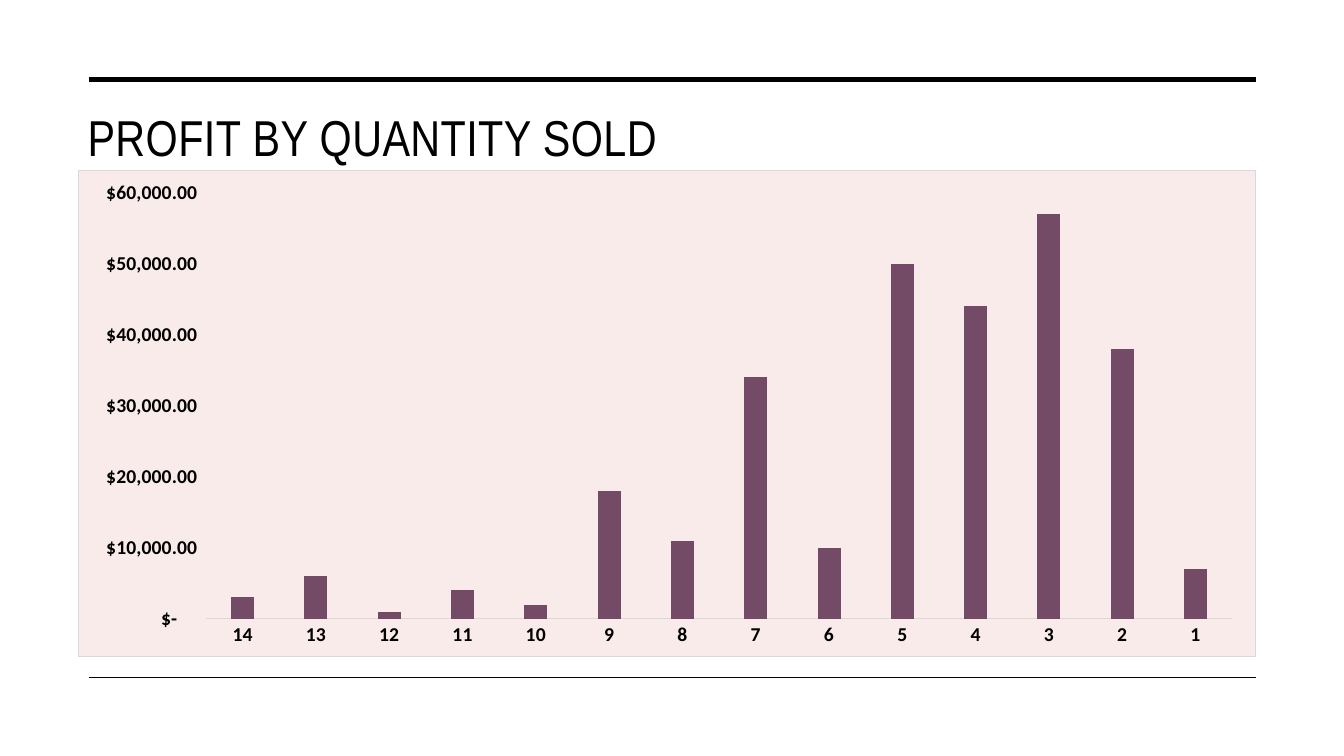
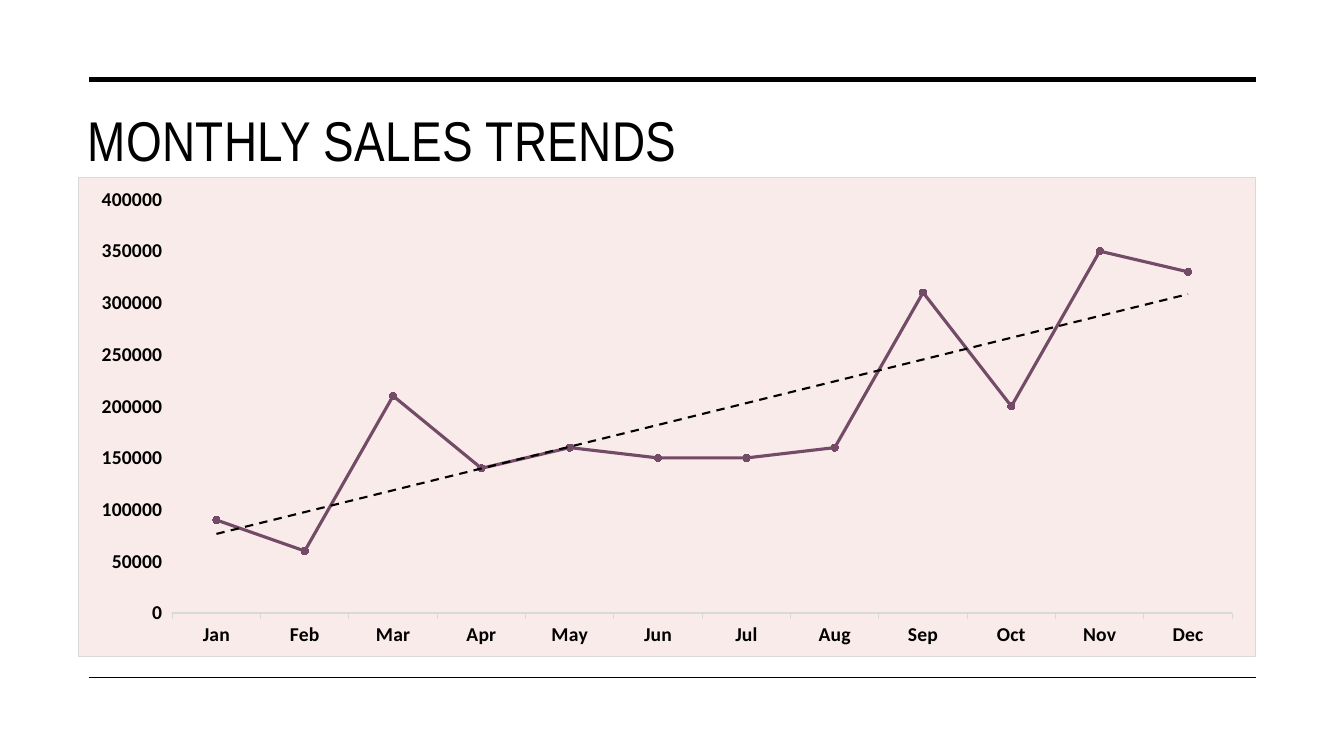
from dataclasses import dataclass

from lxml.etree import SubElement
from pptx import Presentation
from pptx.chart.data import CategoryChartData
from pptx.dml.color import RGBColor
from pptx.enum.chart import XL_CHART_TYPE, XL_MARKER_STYLE, XL_TICK_MARK
from pptx.enum.shapes import MSO_CONNECTOR
from pptx.enum.text import MSO_ANCHOR
from pptx.oxml import parse_xml
from pptx.oxml.ns import nsdecls, qn
from pptx.util import Inches, Pt


@dataclass(frozen=True)
class Theme:
    ink: RGBColor = RGBColor.from_string("000000")
    plum: RGBColor = RGBColor.from_string("734B67")
    blush: RGBColor = RGBColor.from_string("F8EBE9")
    grey: RGBColor = RGBColor.from_string("D9D9D9")
    title_font: str = "Arial Narrow"
    chart_font: str = "Calibri"
    profit_title_size: Pt = Pt(36)
    sales_title_size: Pt = Pt(40)
    label_size: Pt = Pt(14)
    left: float = 0.77
    width: float = 11.69
    chart_bottom: float = 6.52


theme = Theme()
RULES = [(0.79, 3.5), (6.72, 1)]
DOLLARS = r'_("$"* #,##0.00_);_("$"* \(#,##0.00\);_("$"* "-"??_);_(@_)'


def add_titled_slide(title, size):
    """Add a slide with the two shared rules and its title."""
    slide = deck.slides.add_slide(deck.slide_layouts[6])
    for y, weight in RULES:
        rule = slide.shapes.add_connector(
            MSO_CONNECTOR.STRAIGHT, Inches(0.88), Inches(y), Inches(12.46), Inches(y))
        rule.line.color.rgb = theme.ink
        rule.line.width = Pt(weight)
        SubElement(rule._element.spPr, qn("a:effectLst"))
    heading = slide.shapes.add_textbox(
        Inches(theme.left), Inches(1), Inches(theme.width), Inches(1.43)).text_frame
    heading.word_wrap = True
    heading.vertical_anchor = MSO_ANCHOR.TOP
    heading.text = title
    run = heading.paragraphs[0].runs[0]
    run.font.name = theme.title_font
    run.font.size = size
    run.font.color.rgb = theme.ink
    run.font._element.set("spc", "30")
    return slide


def add_panel_chart(slide, kind, top, categories, values, tick_mark):
    """Add a one-series chart on a tinted panel, without gridlines or legend."""
    chart_data = CategoryChartData()
    chart_data.categories = categories
    chart_data.add_series("Series 1", values)
    chart = slide.shapes.add_chart(
        kind, Inches(theme.left), Inches(top), Inches(theme.width),
        Inches(theme.chart_bottom - top), chart_data).chart
    chart.has_legend = False
    chart.has_title = False
    chart.font.name = theme.chart_font
    chart.font.size = theme.label_size
    chart.font.bold = True
    chart.font.color.rgb = theme.ink
    for axis in (chart.category_axis, chart.value_axis):
        axis.has_major_gridlines = False
        axis.major_tick_mark = tick_mark
        axis.minor_tick_mark = XL_TICK_MARK.NONE
    chart.category_axis.format.line.color.rgb = theme.grey
    chart.category_axis.format.line.width = Pt(0.75)
    chart.value_axis.format.line.fill.background()
    panel = parse_xml(
        f'<c:spPr {nsdecls("c", "a")}>'
        f'<a:solidFill><a:srgbClr val="{theme.blush}"/></a:solidFill>'
        f'<a:ln w="{Pt(0.75)}"><a:solidFill><a:srgbClr val="{theme.grey}"/></a:solidFill></a:ln>'
        '</c:spPr>')
    chart._chartSpace.find(qn("c:chart")).addnext(panel)
    chart.plots[0].vary_by_categories = False
    return chart


deck = Presentation()
deck.slide_width = Inches(13.33)
deck.slide_height = Inches(7.5)

# Profit by quantity sold
quantities = [str(quantity) for quantity in range(14, 0, -1)]
profits = [3000, 6000, 1000, 4000, 2000, 18000, 11000,
           34000, 10000, 50000, 44000, 57000, 38000, 7000]
profit_slide = add_titled_slide("PROFIT BY QUANTITY SOLD", theme.profit_title_size)
profit_chart = add_panel_chart(
    profit_slide, XL_CHART_TYPE.COLUMN_CLUSTERED, 1.69, quantities, profits, XL_TICK_MARK.NONE)
profit_labels = profit_chart.value_axis.tick_labels
profit_labels.number_format = DOLLARS
profit_labels.number_format_is_linked = False
profit_columns = profit_chart.plots[0]
profit_columns.gap_width = 219
profit_columns.overlap = -27
profit_fill = profit_columns.series[0].format.fill
profit_fill.solid()
profit_fill.fore_color.rgb = theme.plum

# Monthly sales trends
months = ["Jan", "Feb", "Mar", "Apr", "May", "Jun",
          "Jul", "Aug", "Sep", "Oct", "Nov", "Dec"]
sales = [90000, 60000, 210000, 140000, 160000, 150000,
         150000, 160000, 310000, 200000, 350000, 330000]
sales_slide = add_titled_slide("MONTHLY SALES TRENDS", theme.sales_title_size)
sales_chart = add_panel_chart(
    sales_slide, XL_CHART_TYPE.LINE_MARKERS, 1.76, months, sales, XL_TICK_MARK.OUTSIDE)
sales_line = sales_chart.plots[0].series[0]
sales_line.smooth = False
sales_line.format.line.color.rgb = theme.plum
sales_line.format.line.width = Pt(2.25)
sales_line.marker.style = XL_MARKER_STYLE.CIRCLE
sales_line.marker.size = 5
sales_line.marker.format.fill.solid()
sales_line.marker.format.fill.fore_color.rgb = theme.plum
sales_line.marker.format.line.color.rgb = theme.plum
trend = parse_xml(
    f'<c:trendline {nsdecls("c", "a")}><c:spPr><a:ln w="{Pt(1.5)}">'
    f'<a:solidFill><a:srgbClr val="{theme.ink}"/></a:solidFill><a:prstDash val="dash"/>'
    '</a:ln></c:spPr><c:trendlineType val="linear"/>'
    '<c:dispRSqr val="0"/><c:dispEq val="0"/></c:trendline>')
sales_line._element.find(qn("c:cat")).addprevious(trend)

deck.save("out.pptx")
